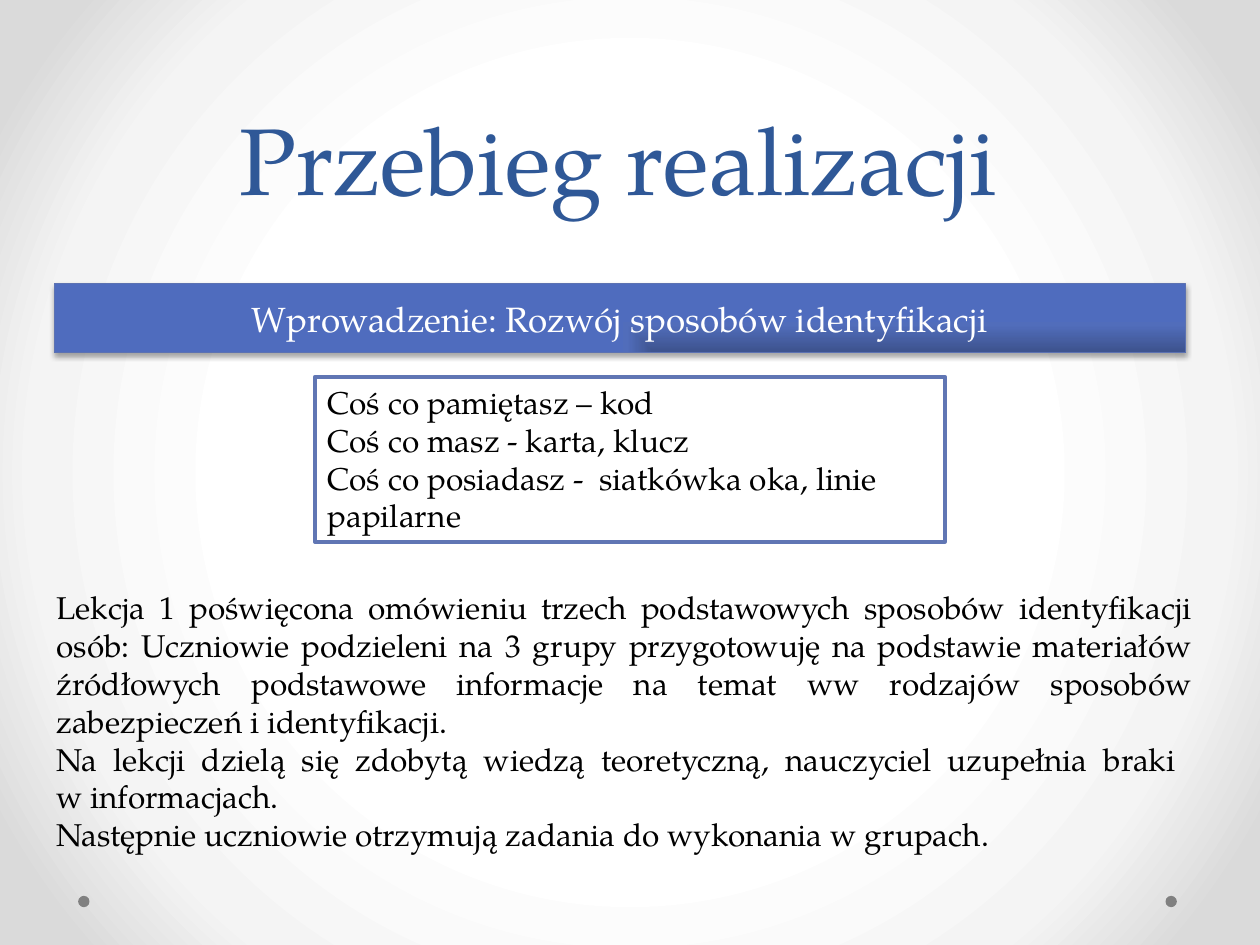
from lxml import etree
from pptx import Presentation
from pptx.dml.color import RGBColor
from pptx.enum import shapes, text
from pptx.oxml import parse_xml
from pptx.oxml.ns import nsdecls, qn
from pptx.util import Inches, Pt

FONT = "TeX Gyre Pagella"
C = {"title": "2F5897", "text": "000000", "white": "FFFFFF", "dot": "808080",
     "banner_line": "5C72B2", "box_line": "6076B4"}
BACKGROUND = [(50, "FFFFFF"), (76, "F4F4F4"), (92, "DADADA")]
BANNER_FILL = [(7, "3E5490"), (80, "516DBB"), (100, "4F6CBE")]

TITLE = "Przebieg realizacji "
BANNER = ["Wprowadzenie: Rozwój sposobów identyfikacji"]
METHODS = [
    "Coś co pamiętasz – kod",
    "Coś co masz - karta, klucz",
    "Coś co posiadasz -  siatkówka oka, linie papilarne",
]
LESSON = [
    "Lekcja 1 poświęcona omówieniu trzech podstawowych sposobów identyfikacji "
    "osób: Uczniowie podzieleni na 3 grupy przygotowuję na podstawie materiałów "
    "źródłowych podstawowe informacje na temat ww rodzajów sposobów "
    "zabezpieczeń i identyfikacji. ",
    "Na lekcji dzielą się zdobytą wiedzą teoretyczną, nauczyciel uzupełnia braki \n"
    "w informacjach.",
    "Następnie uczniowie otrzymują zadania do wykonania w grupach. ",
]


def rgb(name):
    return RGBColor.from_string(C[name])


def set_path_gradient(fill, parent, stops, path, focus):
    """Give parent a path gradient; focus is left, top, right, bottom in percent."""
    fill.gradient()
    grad = parent.find(qn("a:gradFill"))
    gs = "".join(f'<a:gs pos="{pos * 1000}"><a:srgbClr val="{color}"/></a:gs>'
                 for pos, color in stops)
    l, t, r, b = (v * 1000 for v in focus)
    parent.replace(grad, parse_xml(
        f'<a:gradFill {nsdecls("a")} rotWithShape="1"><a:gsLst>{gs}</a:gsLst>'
        f'<a:path path="{path}"><a:fillToRect l="{l}" t="{t}" r="{r}" b="{b}"/>'
        f'</a:path></a:gradFill>'))


def add_box(s, kind, at, fill=None, line=None, width=0):
    sp = s.shapes.add_shape(kind, *map(Inches, at))
    sp.shadow.inherit = False
    if fill:
        sp.fill.solid()
        sp.fill.fore_color.rgb = rgb(fill)
    if line:
        sp.line.color.rgb = rgb(line)
        sp.line.width = Pt(width)
    else:
        sp.line.fill.background()
    return sp


def write(sp, lines, size, color, align, anchor=text.MSO_ANCHOR.TOP):
    tf = sp.text_frame
    tf.word_wrap = True
    tf.vertical_anchor = anchor
    for i, line in enumerate(lines):
        p = tf.add_paragraph() if i else tf.paragraphs[0]
        p.text = line
        p.alignment = align
        p.font.name, p.font.size, p.font.color.rgb = FONT, Pt(size), rgb(color)


def add_drop_shadow(sp):
    effects = sp._element.spPr.find(qn("a:effectLst"))
    shadow = etree.SubElement(effects, qn("a:outerShdw"), blurRad=str(Pt(3.1)),
                              dist=str(Pt(1.8)), dir="5400000", rotWithShape="0")
    color = etree.SubElement(shadow, qn("a:srgbClr"), val=C["text"])
    etree.SubElement(color, qn("a:alpha"), val="35000")


def main():
    prs = Presentation()
    prs.slide_width, prs.slide_height = Inches(10), Inches(7.5)
    s = prs.slides.add_slide(prs.slide_layouts[5])
    align, kinds = text.PP_ALIGN, shapes.MSO_SHAPE

    bg_fill = s.background.fill
    bg_fill.solid()
    set_path_gradient(bg_fill, s._element.cSld.bg.bgPr, BACKGROUND, "circle", (50,) * 4)

    for x in (9.25, 0.62):
        add_box(s, kinds.OVAL, (x, 7.11, 0.09, 0.09), "dot")

    title = s.shapes.title
    title.left, title.top, title.width, title.height = map(Inches, (0.5, 0, 9, 1.75))
    write(title, [TITLE], 54, "title", align.CENTER, text.MSO_ANCHOR.BOTTOM)
    title.text_frame.paragraphs[0].line_spacing = Pt(58)

    banner = add_box(s, kinds.RECTANGLE, (0.43, 2.25, 8.98, 0.55),
                     line="banner_line", width=0.75)
    set_path_gradient(banner.fill, banner._element.spPr, BANNER_FILL, "rect",
                      (100, 100, 0, 0))
    add_drop_shadow(banner)
    write(banner, BANNER, 20, "white", align.CENTER, text.MSO_ANCHOR.MIDDLE)

    methods = add_box(s, kinds.RECTANGLE, (2.5, 2.99, 5, 1.31), "white", "box_line", 2.25)
    write(methods, METHODS, 18, "text", align.LEFT)

    lesson = s.shapes.add_textbox(*map(Inches, (0.35, 4.62, 9.21, 2.22)))
    write(lesson, LESSON, 18, "text", align.JUSTIFY)

    prs.save("out.pptx")


if __name__ == "__main__":
    main()
